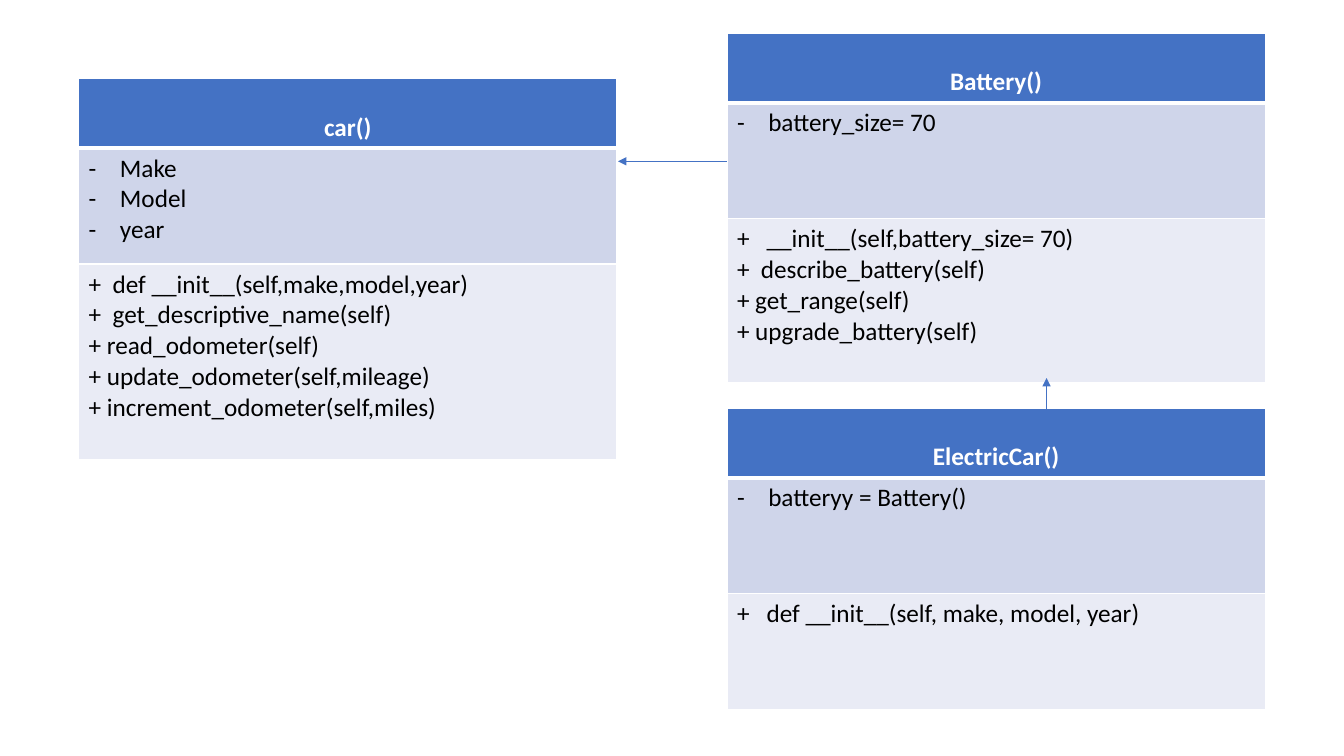
from dataclasses import dataclass

from lxml import etree
from pptx import Presentation
from pptx.dml.color import RGBColor
from pptx.enum.shapes import MSO_CONNECTOR
from pptx.enum.text import MSO_ANCHOR, PP_ALIGN
from pptx.oxml.ns import qn
from pptx.util import Inches, Pt

STRAIGHT = MSO_CONNECTOR.STRAIGHT
CENTER = PP_ALIGN.CENTER
LEFT = PP_ALIGN.LEFT
BOTTOM = MSO_ANCHOR.BOTTOM
TOP = MSO_ANCHOR.TOP


@dataclass(frozen=True)
class Theme:
    font: str = "Calibri"
    size: int = 18
    accent: str = "4472C4"
    white: str = "FFFFFF"
    black: str = "000000"
    attribute_fill: str = "CFD5EA"
    method_fill: str = "E9EBF5"
    thin: float = 1
    thick: float = 3
    arrow: float = 0.5


theme = Theme()


def set_borders(cell, top, bottom):
    """Give a cell white borders; they must precede its fill in the XML."""
    properties = cell._tc.get_or_add_tcPr()
    widths = {"a:lnL": theme.thin, "a:lnR": theme.thin, "a:lnT": top, "a:lnB": bottom}
    for position, (tag, width) in enumerate(widths.items()):
        border = etree.Element(qn(tag), w=str(Pt(width)))
        fill = etree.SubElement(border, qn("a:solidFill"))
        etree.SubElement(fill, qn("a:srgbClr"), val=theme.white)
        properties.insert(position, border)


def add_dash(para):
    """Turn a paragraph into a dashed list item with a hanging indent."""
    properties = para._p.get_or_add_pPr()
    properties.set("marL", str(Inches(0.31)))
    properties.set("indent", str(-Inches(0.31)))
    etree.SubElement(properties, qn("a:buFont"), typeface=theme.font)
    etree.SubElement(properties, qn("a:buChar"), char="-")


deck = Presentation()
deck.slide_width, deck.slide_height = Inches(13.33), Inches(7.5)
page = deck.slides.add_slide(deck.slide_layouts[6])

# Class diagrams: left, top, method row height, name, attributes, methods
CLASS_WIDTH = 5.34
NAME_HEIGHT = 0.69
ATTRIBUTE_HEIGHT = 1.15
classes = [
    (0.78, 0.78, 1.94, "car()", ["Make", "Model", "year"], [
        "+  def __init__(self,make,model,year)",
        "+  get_descriptive_name(self)",
        "+ read_odometer(self)",
        "+ update_odometer(self,mileage)",
        "+ increment_odometer(self,miles)",
    ]),
    (7.21, 0.33, 1.63, "Battery()", ["battery_size= 70"], [
        "+   __init__(self,battery_size= 70)",
        "+  describe_battery(self)",
        "+ get_range(self)",
        "+ upgrade_battery(self)",
    ]),
    (7.21, 4.05, 1.15, "ElectricCar()", ["batteryy = Battery()"], [
        "+   def __init__(self, make, model, year)",
    ]),
]

for left, top, method_height, name, attributes, methods in classes:
    heights = [NAME_HEIGHT, ATTRIBUTE_HEIGHT, method_height]
    table = page.shapes.add_table(
        3, 1, Inches(left), Inches(top), Inches(CLASS_WIDTH), Inches(sum(heights))
    ).table
    # Rows: lines, fill, text colour, top border, bottom border
    rows = [
        ([name], theme.accent, theme.white, theme.thin, theme.thick),
        (attributes, theme.attribute_fill, theme.black, theme.thick, theme.thin),
        (methods, theme.method_fill, theme.black, theme.thin, theme.thin),
    ]
    for index, (lines, fill, colour, above, below) in enumerate(rows):
        is_name = index == 0
        table.rows[index].height = Inches(heights[index])
        cell = table.cell(index, 0)
        cell.fill.solid()
        cell.fill.fore_color.rgb = RGBColor.from_string(fill)
        cell.vertical_anchor = BOTTOM if is_name else TOP
        set_borders(cell, above, below)
        cell.text_frame.text = "\n".join(lines)
        for para in cell.text_frame.paragraphs:
            para.alignment = CENTER if is_name else LEFT
            if lines is attributes:
                add_dash(para)
            for span in para.runs:
                span.font.name = theme.font
                span.font.size = Pt(theme.size)
                span.font.bold = is_name
                span.font.color.rgb = RGBColor.from_string(colour)

# Arrows: ElectricCar to Battery, Battery to car
for ends in [(10.38, 4.2, 10.38, 3.75), (7.21, 1.6, 6.13, 1.6)]:
    arrow = page.shapes.add_connector(STRAIGHT, *(Inches(value) for value in ends))
    arrow.line.color.rgb = RGBColor.from_string(theme.accent)
    arrow.line.width = Pt(theme.arrow)
    etree.SubElement(arrow.line._get_or_add_ln(), qn("a:tailEnd"), type="triangle")
    etree.SubElement(arrow._element.spPr, qn("a:effectLst"))

deck.save("out.pptx")
